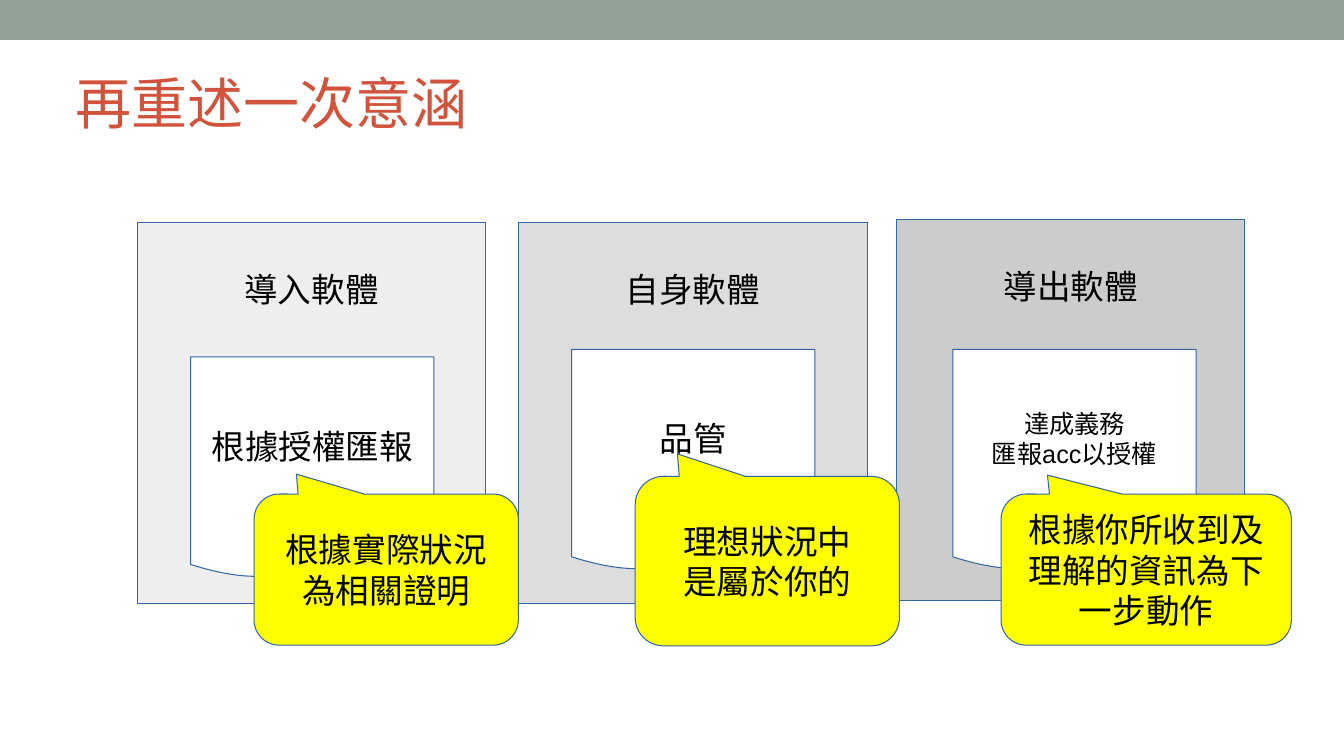
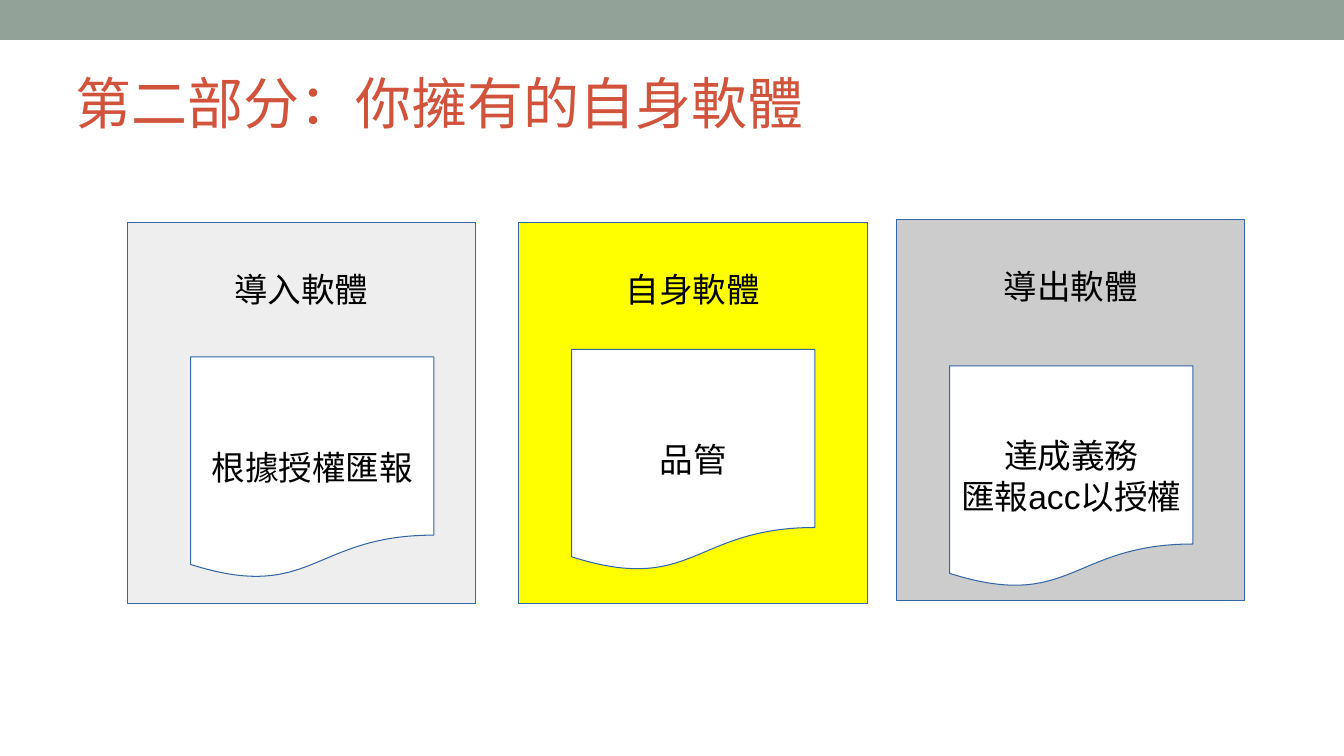
from dataclasses import dataclass
from typing import Optional

from pptx import Presentation
from pptx import util as u
from pptx.dml.color import RGBColor
from pptx.enum import shapes, text


@dataclass(frozen=True)
class Theme:
    band: str = "93A299"
    title: str = "D2533C"
    outline: str = "3465A4"
    ink: str = "000000"
    paper: str = "FFFFFF"
    accent: str = "FFFF00"
    light: str = "EEEEEE"
    medium: str = "DDDDDD"
    dark: str = "CCCCCC"
    title_font: str = "Open Sans"
    body_font: str = "Arial"
    title_size: int = 40
    body_size: int = 24
    small_size: int = 18
    line_width: float = 0.75


@dataclass(frozen=True)
class Box:
    """A rectangle in grid columns and rows."""
    left: float
    top: float
    width: float
    height: float

    def inner(self, left, top, width, height):
        return Box(self.left + left, self.top + top, width, height)

    def lengths(self):
        return [u.Inches(side * CELL)
                for side in (self.left, self.top, self.width, self.height)]


@dataclass(frozen=True)
class Callout:
    words: str
    place: tuple  # relative to the panel
    tail: float = -0.632


@dataclass(frozen=True)
class Stage:
    label: str
    fill: str
    corner: tuple
    document: str
    document_corner: tuple  # relative to the panel
    document_size: int = 24
    callout: Optional[Callout] = None


THEME = Theme()
CELL = 0.63  # inches per grid cell
PAGE_WIDTH, PAGE_HEIGHT = 13.33, 7.5
COLUMNS = PAGE_WIDTH / CELL
BAND = Box(0, 0, COLUMNS, 0.63)
TITLE = Box(1.19, 0.32, 19.05, 1.82)
PANEL_SIZE = (5.49, 6)
DOCUMENT_SIZE = (3.83, 3.5)
BLANK_LINE = 0.41  # inches kept free above lowered text


def color(value):
    return RGBColor.from_string(value)


def style_text(frame, words, font, size, ink, align):
    frame.text = words
    frame.word_wrap = True
    for para in frame.paragraphs:
        para.alignment = align
        for span in para.runs:
            span.font.name = font
            span.font.size = u.Pt(size)
            span.font.color.rgb = color(ink)


def add_filled(page, preset, box, fill):
    shape = page.shapes.add_shape(preset, *box.lengths())
    shape.shadow.inherit = False
    shape.fill.solid()
    shape.fill.fore_color.rgb = color(fill)
    shape.line.fill.background()
    return shape


def add_outlined(page, preset, box, fill, words, size=THEME.body_size,
                 anchor=text.MSO_ANCHOR.MIDDLE, lowered=False):
    shape = add_filled(page, preset, box, fill)
    shape.line.color.rgb = color(THEME.outline)
    shape.line.width = u.Pt(THEME.line_width)
    frame = shape.text_frame
    frame.vertical_anchor = anchor
    frame.margin_top = u.Inches(0.05 + (BLANK_LINE if lowered else 0))
    style_text(frame, words, THEME.body_font, size, THEME.ink,
               text.PP_ALIGN.CENTER)
    return shape


# Shared frame: band and title
def add_frame(page, heading):
    add_filled(page, shapes.MSO_SHAPE.RECTANGLE, BAND, THEME.band)
    title = page.shapes.title
    title.left, title.top, title.width, title.height = TITLE.lengths()
    frame = title.text_frame
    frame.auto_size = text.MSO_AUTO_SIZE.NONE
    frame.vertical_anchor = text.MSO_ANCHOR.BOTTOM
    frame.margin_left = frame.margin_right = 0
    frame.margin_top = frame.margin_bottom = 0
    style_text(frame, heading, THEME.title_font, THEME.title_size,
               THEME.title, text.PP_ALIGN.LEFT)


# Parts of one stage, each placed from the panel's box
def add_panel(page, box, stage):
    add_outlined(page, shapes.MSO_SHAPE.RECTANGLE, box, stage.fill,
                 stage.label, anchor=text.MSO_ANCHOR.TOP, lowered=True)


def add_document(page, box, stage, lowered):
    add_outlined(page, shapes.MSO_SHAPE.FLOWCHART_DOCUMENT,
                 box.inner(*stage.document_corner, *DOCUMENT_SIZE),
                 THEME.paper, stage.document, stage.document_size,
                 lowered=lowered)


def add_callout(page, box, callout):
    shape = add_outlined(page, shapes.MSO_SHAPE.ROUNDED_RECTANGULAR_CALLOUT,
                         box.inner(*callout.place), THEME.accent,
                         callout.words)
    for index, value in enumerate((-0.34, callout.tail, 0.167)):
        shape.adjustments[index] = value


# One slide: panels lie below documents, documents below callouts
def add_stage_page(deck, heading, stages, lowered=False):
    page = deck.slides.add_slide(deck.slide_layouts.get_by_name("Title Only"))
    add_frame(page, heading)
    placed = [(Box(*stage.corner, *PANEL_SIZE), stage) for stage in stages]
    for box, stage in placed:
        add_panel(page, box, stage)
    for box, stage in placed:
        add_document(page, box, stage, lowered)
    for box, stage in placed:
        if stage.callout:
            add_callout(page, box, stage.callout)


RESTATED = [
    Stage("導入軟體", THEME.light, (2.16, 3.5), "根據授權匯報", (0.84, 2.12),
          callout=Callout("根據實際狀況為相關證明", (1.84, 4.28, 4.16, 2.38))),
    Stage("自身軟體", THEME.medium, (8.16, 3.5), "品管", (0.84, 2),
          callout=Callout("理想狀況中\n是屬於你的", (1.84, 4, 4.16, 2.67))),
    Stage("導出軟體", THEME.dark, (14.11, 3.45), "達成義務\n匯報acc以授權",
          (0.89, 2.05), THEME.small_size,
          Callout("根據你所收到及理解的資訊為下一步動作",
                  (1.65, 4.33, 4.57, 2.38), -0.625)),
]
OWN_SOFTWARE = [
    Stage("導入軟體", THEME.light, (2, 3.5), "根據授權匯報", (1, 2.12)),
    Stage("自身軟體", THEME.accent, (8.16, 3.5), "品管", (0.84, 2)),
    Stage("導出軟體", THEME.dark, (14.11, 3.45), "達成義務\n匯報acc以授權",
          (0.84, 2.31)),
]


def main():
    deck = Presentation()
    deck.slide_width = u.Inches(PAGE_WIDTH)
    deck.slide_height = u.Inches(PAGE_HEIGHT)
    add_stage_page(deck, "再重述一次意涵", RESTATED)
    add_stage_page(deck, "第二部分：你擁有的自身軟體", OWN_SOFTWARE, lowered=True)
    deck.save("out.pptx")


if __name__ == "__main__":
    main()
